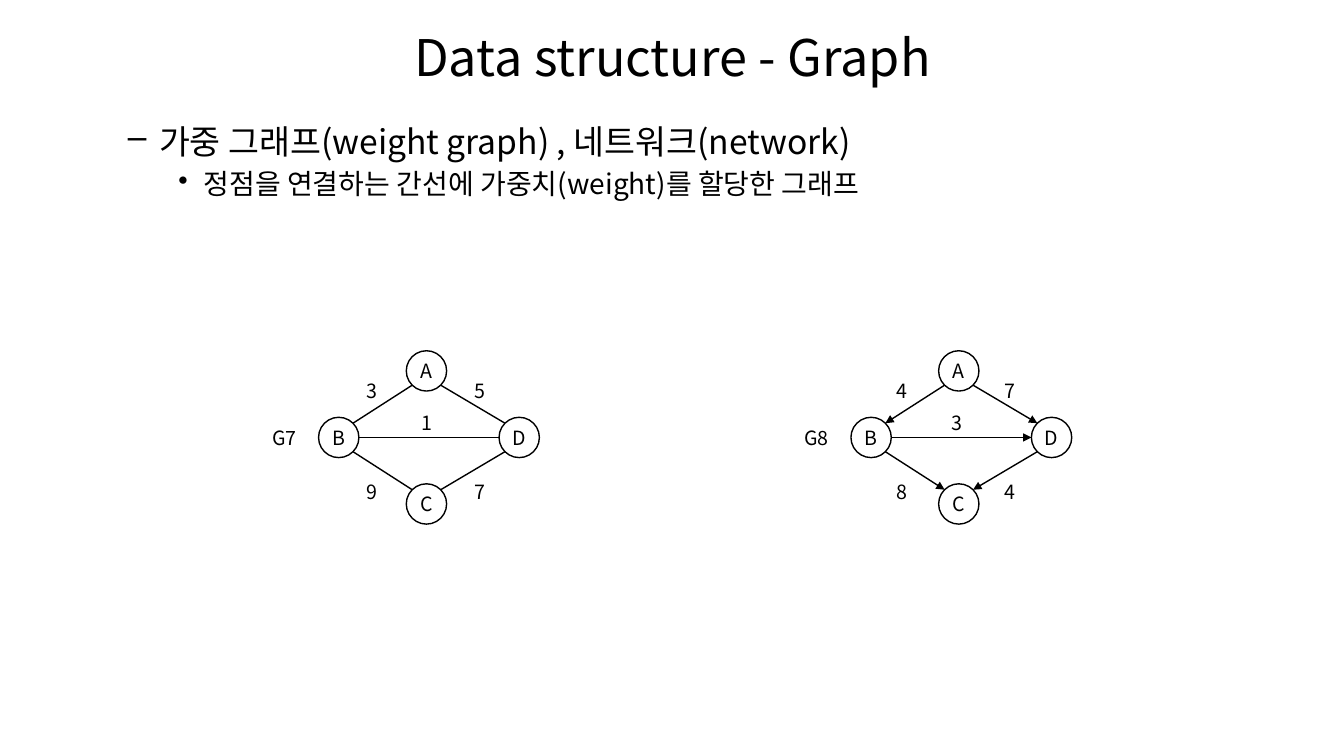
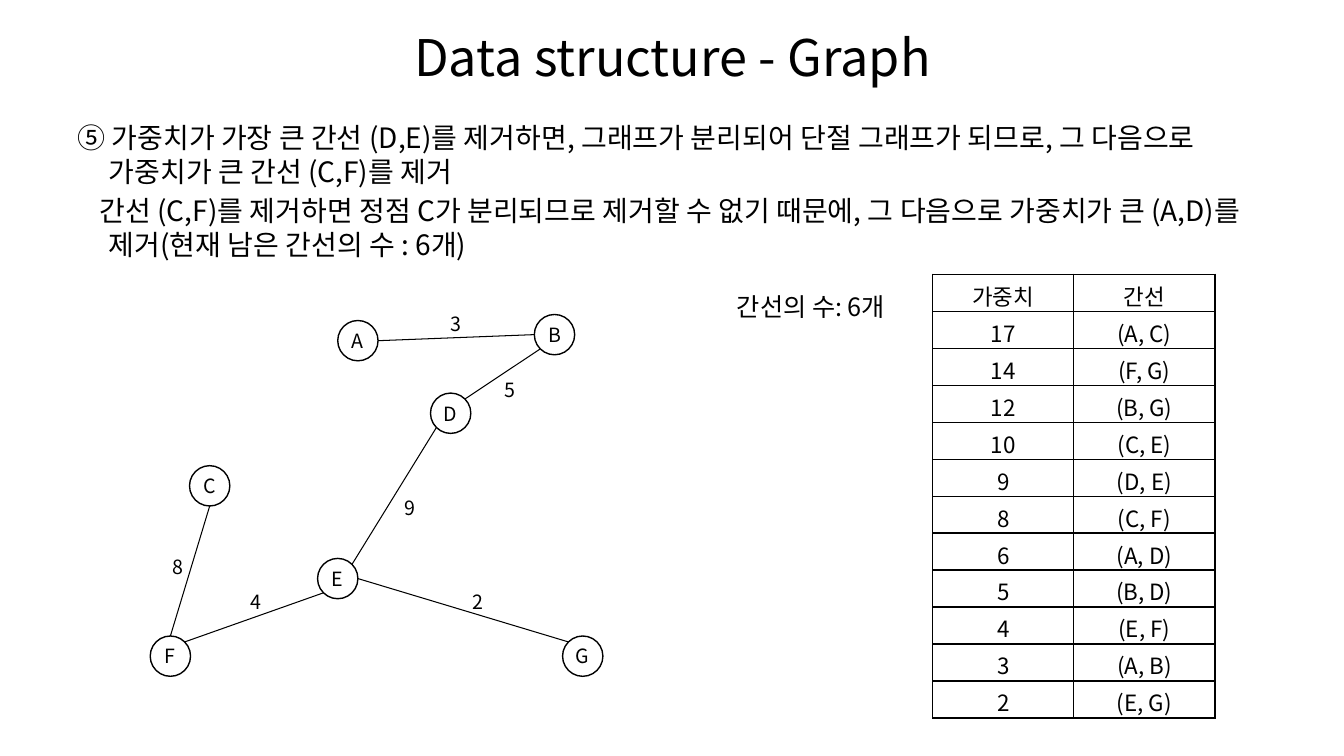
"""Build two slides on weighted graphs."""
import math

import lxml.etree
import pptx
import pptx.dml.color
import pptx.enum.shapes
import pptx.enum.text
import pptx.oxml.ns
import pptx.util

Inches = pptx.util.Inches
Pt = pptx.util.Pt
qn = pptx.oxml.ns.qn
ANCHOR = pptx.enum.text.MSO_ANCHOR
ALIGN = pptx.enum.text.PP_ALIGN

COLORS = {"ink": "000000", "paper": "FFFFFF"}
FONT = "Noto Sans CJK KR"
TITLE = "Data structure - Graph"
RADIUS = 0.2
NODE_FRAME = {
    "margin_left": 0, "margin_right": 0, "margin_top": 0, "margin_bottom": 0,
    "word_wrap": False, "vertical_anchor": ANCHOR.MIDDLE,
}
MIDDLE = {"word_wrap": True, "vertical_anchor": ANCHOR.MIDDLE}
TOP = {"word_wrap": True, "vertical_anchor": ANCHOR.TOP}

DIAMOND = {"A": (4.23, 3.68), "B": (3.36, 4.34), "C": (4.23, 5), "D": (5.15, 4.34)}
DIAMOND_EDGES = ["B6 D2", "A3 B7", "B5 C1", "D3 C7", "A5 D1"]
DIAMOND_SPOTS = [(3.69, 3.88), (4.76, 3.88), (4.23, 4.19), (3.69, 4.88), (4.76, 4.88)]

TREE = {
    "A": (3.55, 3.38), "B": (5.5, 3.32), "C": (2.08, 4.82), "D": (4.47, 4.1),
    "E": (3.35, 5.74), "F": (1.69, 6.51), "G": (5.78, 6.51),
}
TREE_EDGES = ["A6 B2", "C4 F0", "E3 F7", "E7 D3", "D7 B3", "E6 G1"]
TREE_TAGS = [
    ("3", 4.52, 3.21), ("5", 5.06, 3.87), ("9", 4.07, 5.04),
    ("8", 1.77, 5.62), ("4", 2.54, 5.97), ("2", 4.74, 5.97),
]
ROWS = [
    ("가중치", "간선"), ("17", "(A, C)"), ("14", "(F, G)"), ("12", "(B, G)"),
    ("10", "(C, E)"), ("9", "(D, E)"), ("8", "(C, F)"), ("6", "(A, D)"),
    ("5", "(B, D)"), ("4", "(E, F)"), ("3", "(A, B)"), ("2", "(E, G)"),
]
LEVELS = [
    {"text": "가중 그래프(weight graph) , 네트워크(network)", "size": 24,
     "left": 0.81, "first": -0.31, "mark": "–"},
    {"text": "정점을 연결하는 간선에 가중치(weight)를 할당한 그래프", "size": 20,
     "left": 1.25, "first": -0.25, "mark": "•"},
]
STEPS = [
    {"text": "⑤ 가중치가 가장 큰 간선 (D,E)를 제거하면, 그래프가 분리되어 단절 그래프가 되므로, "
             "그 다음으로 가중치가 큰 간선 (C,F)를 제거",
     "size": 20, "left": 0.31, "first": -0.31},
    {"text": "간선 (C,F)를 제거하면 정점 C가 분리되므로 제거할 수 없기 때문에, "
             "그 다음으로 가중치가 큰 (A,D)를 제거(현재 남은 간선의 수 : 6개)",
     "size": 20, "left": 0.31, "first": -0.09},
]


def tint(name):
    """Return a named colour."""
    return pptx.dml.color.RGBColor.from_string(COLORS[name])


def apply(target, values):
    """Set attributes from a dict."""
    for key, value in values.items():
        setattr(target, key, value)


def write(par, text, size, align=ALIGN.CENTER):
    """Put styled text in a paragraph."""
    par.alignment = align
    run = par.add_run()
    run.text = text
    run.font.color.rgb = tint("ink")
    apply(run.font, {"size": Pt(size), "name": FONT})
    lxml.etree.SubElement(run._r.get_or_add_rPr(), qn("a:ea"), typeface=FONT)


def add_box(slide, box, frame):
    """Add a text box and return its frame."""
    text = slide.shapes.add_textbox(*map(Inches, box)).text_frame
    apply(text, frame)
    return text


def add_label(slide, text, x, y, width, size=14):
    """Add a label centred on a point."""
    frame = add_box(slide, (x - width / 2, y - 0.17, width, 0.34), MIDDLE)
    write(frame.paragraphs[0], text, size)


def add_body(slide, items):
    """Add the indented body text."""
    frame = add_box(slide, (0.67, 1.15, 12, 5.67), TOP)
    for index, item in enumerate(items):
        par = frame.add_paragraph() if index else frame.paragraphs[0]
        if index:
            par.space_before = Pt(item["size"] * 0.2)
        props = par._p.get_or_add_pPr()
        props.set("marL", str(Inches(item["left"])))
        props.set("indent", str(Inches(item["first"])))
        if "mark" in item:
            lxml.etree.SubElement(props, qn("a:buChar"), char=item["mark"])
        write(par, item["text"], item["size"], ALIGN.LEFT)


def add_node(slide, name, x, y):
    """Add a round node centred on a point."""
    box = (x - RADIUS, y - RADIUS, 2 * RADIUS, 2 * RADIUS)
    node = slide.shapes.add_shape(pptx.enum.shapes.MSO_SHAPE.OVAL, *map(Inches, box))
    node.shadow.inherit = False
    node.fill.solid()
    node.fill.fore_color.rgb = tint("paper")
    node.line.color.rgb = tint("ink")
    node.line.width = Pt(1)
    apply(node.text_frame, NODE_FRAME)
    write(node.text_frame.paragraphs[0], name, 14)
    return node


def find_site(center, site):
    """Return one of the eight joints of a node, counted from the top to the left."""
    angle = site * math.pi / 4
    x, y = center
    return Inches(x - RADIUS * math.sin(angle)), Inches(y - RADIUS * math.cos(angle))


def add_edge(slide, nodes, points, edge, width, arrow):
    """Join two nodes, given as name and joint."""
    ends = [(end[0], int(end[1])) for end in edge.split()]
    start, stop = [find_site(points[name], site) for name, site in ends]
    line = slide.shapes.add_connector(
        pptx.enum.shapes.MSO_CONNECTOR.STRAIGHT, *start, *stop)
    line.line.color.rgb = tint("ink")
    line.line.width = Pt(width)
    if arrow:
        lxml.etree.SubElement(line.line._get_or_add_ln(), qn("a:tailEnd"), type="triangle")
    lxml.etree.SubElement(line._element.spPr, qn("a:effectLst"))
    joints = line._element.nvCxnSpPr.cNvCxnSpPr
    for tag, (name, site) in zip(("a:stCxn", "a:endCxn"), ends):
        lxml.etree.SubElement(
            joints, qn(tag), id=str(nodes[name].shape_id), idx=str(site))


def add_graph(slide, points, edges, width, arrow=False):
    """Draw the nodes and edges of a graph."""
    nodes = {name: add_node(slide, name, *point) for name, point in points.items()}
    for edge in edges:
        add_edge(slide, nodes, points, edge, width, arrow)


def add_diamond(slide, name, weights, shift, nudge, arrow):
    """Draw a named four-node graph with weights."""
    points = {key: (x + shift, y) for key, (x, y) in DIAMOND.items()}
    add_graph(slide, points, DIAMOND_EDGES, 1, arrow)
    add_label(slide, name, 2.82 + shift, 4.34, 0.61)
    for weight, (x, y) in zip(weights, DIAMOND_SPOTS):
        add_label(slide, weight, x + nudge, y, 0.34)


def style_cell(cell, text):
    """Write a cell and draw its borders."""
    cell.vertical_anchor = ANCHOR.MIDDLE
    cell.fill.background()
    write(cell.text_frame.paragraphs[0], text, 16)
    props = cell._tc.get_or_add_tcPr()
    for index, side in enumerate("LRTB"):
        line = lxml.etree.Element(qn("a:ln" + side), w=str(Pt(1)))
        fill = lxml.etree.SubElement(line, qn("a:solidFill"))
        lxml.etree.SubElement(fill, qn("a:srgbClr"), val=COLORS["ink"])
        props.insert(index, line)


def add_grid(slide, rows, box):
    """Add the table of weights."""
    table = slide.shapes.add_table(len(rows), len(rows[0]), *map(Inches, box)).table
    apply(table, {"first_row": False, "horz_banding": False})
    for r, row in enumerate(rows):
        table.rows[r].height = Inches(box[3] / len(rows))
        for c, text in enumerate(row):
            style_cell(table.cell(r, c), text)


def add_slide(deck, items):
    """Add a slide with the shared title and body text."""
    slide = deck.slides.add_slide(deck.slide_layouts[6])
    frame = add_box(slide, (0.67, 0.13, 12, 0.85), MIDDLE)
    write(frame.paragraphs[0], TITLE, 36)
    add_body(slide, items)
    return slide


def main():
    """Build and save the deck."""
    deck = pptx.Presentation()
    apply(deck, {"slide_width": Inches(13.33), "slide_height": Inches(7.5)})

    slide = add_slide(deck, LEVELS)
    add_diamond(slide, "G7", "35197", 0, 0, False)
    add_diamond(slide, "G8", "47384", 5.28, 5.26, True)

    slide = add_slide(deck, STEPS)
    add_graph(slide, TREE, TREE_EDGES, 0.75)
    for text, x, y in TREE_TAGS:
        add_label(slide, text, x, y, 0.52)
    frame = add_box(slide, (7.21, 2.84, 1.98, 0.4), TOP)
    write(frame.paragraphs[0], "간선의 수: 6개", 18, ALIGN.LEFT)
    add_grid(slide, ROWS, (9.25, 2.72, 2.8, 4.4))

    deck.save("out.pptx")


if __name__ == "__main__":
    main()
